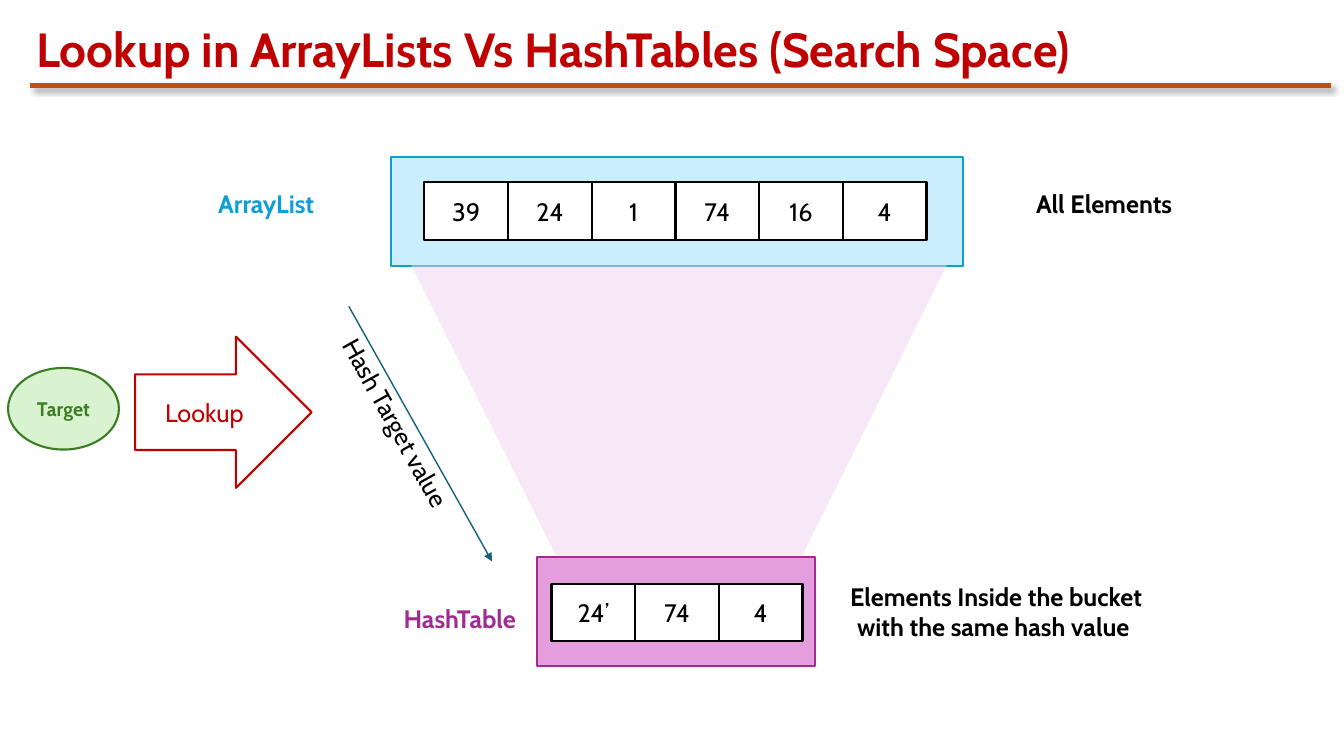
"""Build a slide that compares the search space of array lists and hash tables."""
from lxml import etree
from pptx import Presentation
from pptx.dml.color import RGBColor
from pptx.enum.shapes import MSO_CONNECTOR, MSO_SHAPE
from pptx.enum.text import MSO_ANCHOR, MSO_AUTO_SIZE, PP_ALIGN
from pptx.oxml import parse_xml
from pptx.oxml.ns import nsdecls, qn
from pptx.util import Pt

RECT, OVAL = MSO_SHAPE.RECTANGLE, MSO_SHAPE.OVAL
ARROW, FUNNEL = MSO_SHAPE.RIGHT_ARROW, MSO_SHAPE.TRAPEZOID
STRAIGHT = MSO_CONNECTOR.STRAIGHT
MIDDLE, TOP = MSO_ANCHOR.MIDDLE, MSO_ANCHOR.TOP
LEFT, CENTER = PP_ALIGN.LEFT, PP_ALIGN.CENTER
GROW, FIXED = MSO_AUTO_SIZE.SHAPE_TO_FIT_TEXT, MSO_AUTO_SIZE.NONE

RED = RGBColor(0xC0, 0x00, 0x00)
RUST = RGBColor(0xC0, 0x4F, 0x15)
BLACK = RGBColor(0x00, 0x00, 0x00)
WHITE = RGBColor(0xFF, 0xFF, 0xFF)
BLUE = RGBColor(0x0F, 0x9E, 0xD5)
SKY = RGBColor(0xCA, 0xEE, 0xFB)
PLUM = RGBColor(0xA0, 0x2B, 0x93)
PINK = RGBColor(0xE5, 0x9E, 0xDD)
BLUSH = RGBColor(0xF2, 0xCF, 0xEE)
TEAL = RGBColor(0x15, 0x60, 0x82)
GREEN = RGBColor(0x3B, 0x7D, 0x23)
MINT = RGBColor(0xD9, 0xF2, 0xD0)

PX = 9144
FONT = "Cabin"
TITLE = "Lookup in ArrayLists Vs HashTables (Search Space)"
CELL_W, CELL_H = 83, 57
ARRAY = ((388, 156, 567, 108), SKY, BLUE, (421, 181),
         ["39", "24", "1", "74", "16", "4"])
BUCKET = ((533, 553, 275, 108), PINK, PLUM, (547, 579), ["24’", "74", "4"])
FUNNEL_BOX = (408, 263, 531, 288)
LABELS = [
    ("ArrayList", (168, 182, 192, 40), BLUE),
    ("All Elements", (999, 182, 192, 40), BLACK),
    ("Elements Inside the bucket with the same hash value ",
     (813, 572, 350, 71), BLACK),
    ("HashTable", (360, 594, 192, 40), PLUM),
]
HASH = ("Hash Target value", (273, 427, 270, 40), 60.9)


def scale(box):
    return [n * PX for n in box]


def write(shape, text, color, size=18, bold=False, align=CENTER, anchor=MIDDLE):
    frame = shape.text_frame
    frame.text = text
    frame.word_wrap = True
    frame.vertical_anchor = anchor
    para = frame.paragraphs[0]
    para.alignment = align
    font = para.font
    font.name, font.size, font.bold = FONT, Pt(size), bold
    font.color.rgb = color
    return para


def draw(slide, kind, box, fill=None, line=None):
    shape = slide.shapes.add_shape(kind, *scale(box))
    shape.shadow.inherit = False
    if fill is None:
        shape.fill.background()
    else:
        shape.fill.solid()
        shape.fill.fore_color.rgb = fill
    if line is None:
        shape.line.fill.background()
    else:
        shape.line.color.rgb = line
        shape.line.width = Pt(1.5)
    return shape


def label(slide, text, box, color, bold=True, align=CENTER):
    shape = slide.shapes.add_textbox(*scale(box))
    write(shape, text, color, bold=bold, align=align, anchor=TOP)
    shape.text_frame.auto_size = GROW
    return shape


def link(slide, ends, color, width):
    line = slide.shapes.add_connector(STRAIGHT, *scale(ends))
    line.line.color.rgb = color
    line.line.width = Pt(width)
    effects = etree.SubElement(line._element.spPr, qn("a:effectLst"))
    return line, effects


def store(slide, box, fill, line, start, values):
    draw(slide, RECT, box, fill, line)
    left, top = start
    for i, value in enumerate(values):
        cell = draw(slide, RECT, (left + i * CELL_W, top, CELL_W, CELL_H),
                    WHITE, BLACK)
        write(cell, value, BLACK)


def header(slide):
    effects = link(slide, (30, 85, 1320, 85), RUST, 3.5)[1]
    effects.append(parse_xml(
        f'<a:outerShdw {nsdecls("a")} blurRad="50800" dist="38100" dir="2700000">'
        '<a:srgbClr val="000000"><a:alpha val="40000"/></a:srgbClr></a:outerShdw>'))
    title = slide.shapes.title
    title.left, title.top, title.width, title.height = scale((26, 19, 1294, 66))
    para = write(title, TITLE, RED, 34.2, True, LEFT)
    para.line_spacing = 0.9
    title.text_frame.auto_size = FIXED


def funnel(slide):
    shape = draw(slide, FUNNEL, FUNNEL_BOX, BLUSH)
    shape.rotation = 180
    shape.adjustments[0] = 0.498
    tint = shape._element.spPr.find(qn("a:solidFill"))[0]
    etree.SubElement(tint, qn("a:alpha"), val="49000")


def main():
    deck = Presentation()
    deck.slide_width, deck.slide_height = scale((1333, 750))
    slide = deck.slides.add_slide(deck.slide_layouts[5])
    header(slide)
    store(slide, *ARRAY)
    funnel(slide)
    store(slide, *BUCKET)
    for text, box, color in LABELS:
        label(slide, text, box, color)

    path_line = link(slide, (346, 304, 488, 557), TEAL, 1)[0]
    etree.SubElement(path_line.line._get_or_add_ln(), qn("a:tailEnd"),
                     type="triangle")
    text, box, turn = HASH
    label(slide, text, box, BLACK, False, LEFT).rotation = turn

    target = draw(slide, OVAL, (8, 365, 110, 81), MINT, GREEN)
    write(target, "Target", GREEN, 14, True)
    lookup = draw(slide, ARROW, (134, 334, 175, 150), line=RED)
    write(lookup, "Lookup", RED)
    deck.save("out.pptx")


if __name__ == "__main__":
    main()
